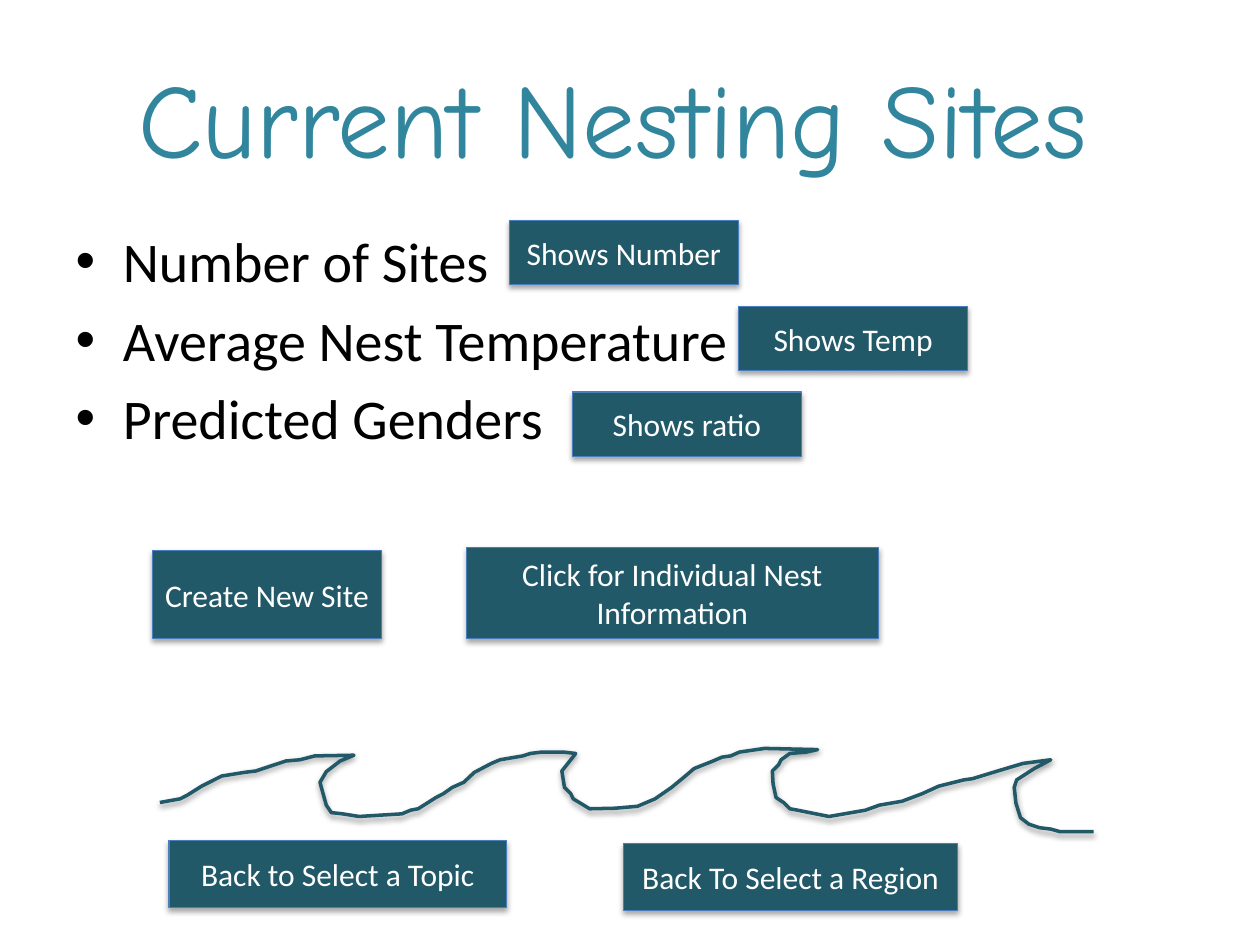
"""Build the Current Nesting Sites slide with its buttons and wave line."""
import lxml.etree
import pptx
import pptx.dml.color
import pptx.enum.shapes
import pptx.enum.text
import pptx.oxml.ns
import pptx.util

Pt = pptx.util.Pt

THEME = {
    "heading": "31859C", "body": "000000", "button": "215968",
    "button_edge": "4B7EBC", "button_text": "FFFFFF", "shadow": "000000",
    "heading_font": "Comic Neue", "body_font": "Calibri",
    "heading_size": 60, "body_size": 32, "button_size": 18,
}
SLIDE_SIZE = (720, 540)
HEADING = "Current Nesting Sites "
HEADING_BOX = (36, 21.6, 648, 90)
FACTS_BOX = (36, 126, 648, 356.4)
FACTS = [
    ("Number of Sites", "Shows Number", 291),
    ("Average Nest Temperature", "Shows Temp", 422),
    ("Predicted Genders", "Shows ratio", 327),
]
FACT_BUTTON_SIZE = (131, 36.8)
FACT_PITCH = 49
ACTIONS = [
    ("Click for Individual Nest Information", (266.4, 313, 235.6, 52)),
    ("Back to Select a Topic", (96.5, 480.3, 193, 38.2)),
    ("Back To Select a Region", (356.4, 482.2, 190.8, 38.2)),
    ("Create New Site", (87.1, 314.6, 131, 50.4)),
]
WAVE = [
    (91.4, 458.6), (103, 456.5), (107.3, 454.3), (115.2, 449.3),
    (126.7, 443.5), (139.7, 441.4), (146.2, 440.6), (150.5, 439.2),
    (163.4, 434.9), (171.4, 434.2), (180, 432), (202.3, 431.6),
    (194.4, 434.9), (186.5, 441), (182.9, 447.1), (186.5, 460.1),
    (189.4, 464.4), (195.8, 465.1), (205.2, 466.6), (229.7, 465.1),
    (234.7, 463), (239, 462.2), (249.1, 455.8), (253.4, 453.6),
    (258.5, 450), (265, 447.1), (271.1, 441.4), (280.8, 436.3),
    (285.8, 434.2), (298.8, 432), (303.1, 430.6), (309.6, 429.8),
    (322, 429.8), (329, 430.6), (326.2, 434.2), (321.1, 440.6),
    (322.6, 450), (326.2, 453.6), (327.6, 456.5), (337, 462.2),
    (351.4, 461.9), (364.3, 460.8), (374.4, 456.5), (383.8, 450),
    (391.7, 443.5), (396.7, 439.2), (407.5, 434.9), (412.6, 432.7),
    (417.6, 432), (422.6, 429.8), (437, 427.7), (467.3, 428.4),
    (460.8, 429.8), (451.4, 430.6), (446.4, 434.2), (445, 437),
    (441.4, 440.6), (441.8, 448), (443.5, 455.8), (447.8, 458.6),
    (451.4, 462.2), (455.8, 463), (473.8, 466.6), (494.6, 463),
    (502.6, 460.1), (515.5, 457.9), (527, 453.6), (536.4, 449.3),
    (550.8, 445.7), (555.8, 445), (570.2, 440.6), (584.6, 436.3),
    (600.5, 434.2), (591.1, 439.2), (581, 445.7), (579.6, 450),
    (580.6, 459), (583.2, 467.3), (588, 471), (594, 473),
    (600.5, 473.8), (605.5, 475.2), (625, 475.2),
]


def color(name):
    return pptx.dml.color.RGBColor.from_string(THEME[name])


def write(frame, *lines, font, size, ink, align=None):
    frame.word_wrap = True
    for index, line in enumerate(lines):
        paragraph = frame.paragraphs[0] if index == 0 else frame.add_paragraph()
        if index == 0:
            paragraph.space_before = Pt(0)
        paragraph.alignment = align
        run = paragraph.add_run()
        run.text = line
        run.font.name = THEME[font]
        run.font.size = Pt(THEME[size])
        run.font.color.rgb = color(ink)


def place(part, box):
    part.left, part.top, part.width, part.height = map(Pt, box)


def cast_shadow(part, opacity, distance):
    qn = pptx.oxml.ns.qn
    part.shadow.inherit = False
    effects = part._element.spPr.find(qn("a:effectLst"))
    shadow = lxml.etree.SubElement(
        effects, qn("a:outerShdw"), blurRad=str(Pt(3.1)),
        dist=str(Pt(distance)), dir="5400000", rotWithShape="0")
    tint = lxml.etree.SubElement(shadow, qn("a:srgbClr"), val=THEME["shadow"])
    lxml.etree.SubElement(tint, qn("a:alpha"), val=str(opacity * 1000))


def outline(part, ink, width):
    part.line.color.rgb = color(ink)
    part.line.width = Pt(width)


def add_button(slide, label, box):
    button = slide.shapes.add_shape(
        pptx.enum.shapes.MSO_SHAPE.RECTANGLE, *map(Pt, box))
    button.fill.solid()
    button.fill.fore_color.rgb = color("button")
    outline(button, "button_edge", 0.75)
    cast_shadow(button, 35, 1.8)
    button.text_frame.vertical_anchor = pptx.enum.text.MSO_ANCHOR.MIDDLE
    write(button.text_frame, label, font="body_font", size="button_size",
          ink="button_text", align=pptx.enum.text.PP_ALIGN.CENTER)


def add_wave(slide):
    points = [(Pt(x), Pt(y)) for x, y in WAVE]
    builder = slide.shapes.build_freeform(*points[0], scale=1.0)
    builder.add_line_segments(points[1:], close=False)
    wave = builder.convert_to_shape()
    wave.fill.background()
    outline(wave, "button", 2)
    cast_shadow(wave, 38, 1.6)


def main():
    deck = pptx.Presentation()
    deck.slide_width, deck.slide_height = map(Pt, SLIDE_SIZE)
    slide = deck.slides.add_slide(deck.slide_layouts[1])
    heading, facts = slide.shapes.title, slide.placeholders[1]
    place(heading, HEADING_BOX)
    write(heading.text_frame, HEADING, font="heading_font", size="heading_size",
          ink="heading", align=pptx.enum.text.PP_ALIGN.CENTER)
    place(facts, FACTS_BOX)
    write(facts.text_frame, *[fact for fact, _, _ in FACTS],
          font="body_font", size="body_size", ink="body")
    for row, (_, label, left) in enumerate(FACTS):
        top = FACTS_BOX[1] + row * FACT_PITCH
        add_button(slide, label, (left, top, *FACT_BUTTON_SIZE))
    add_wave(slide)
    for label, box in ACTIONS:
        add_button(slide, label, box)
    deck.save("out.pptx")


if __name__ == "__main__":
    main()
